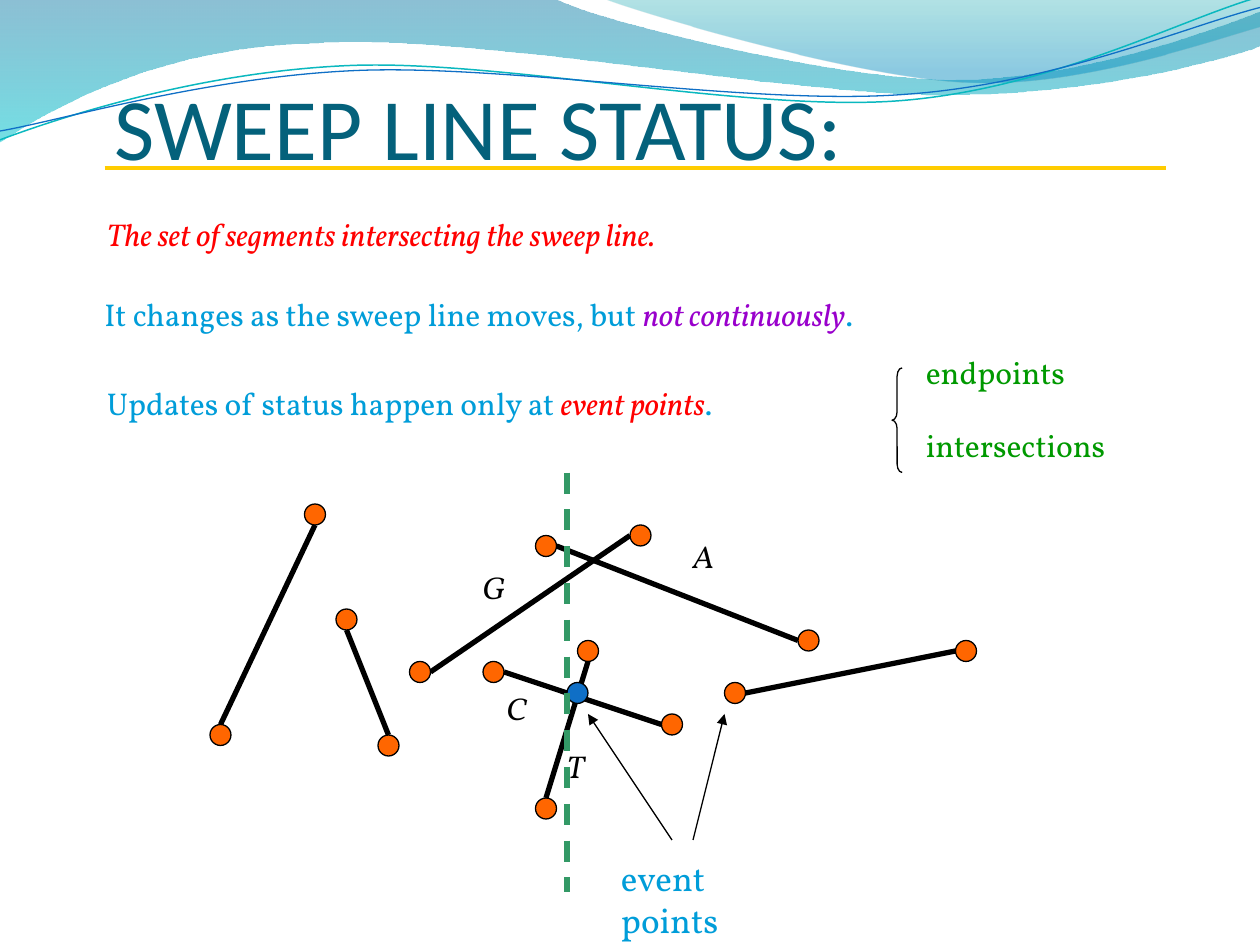
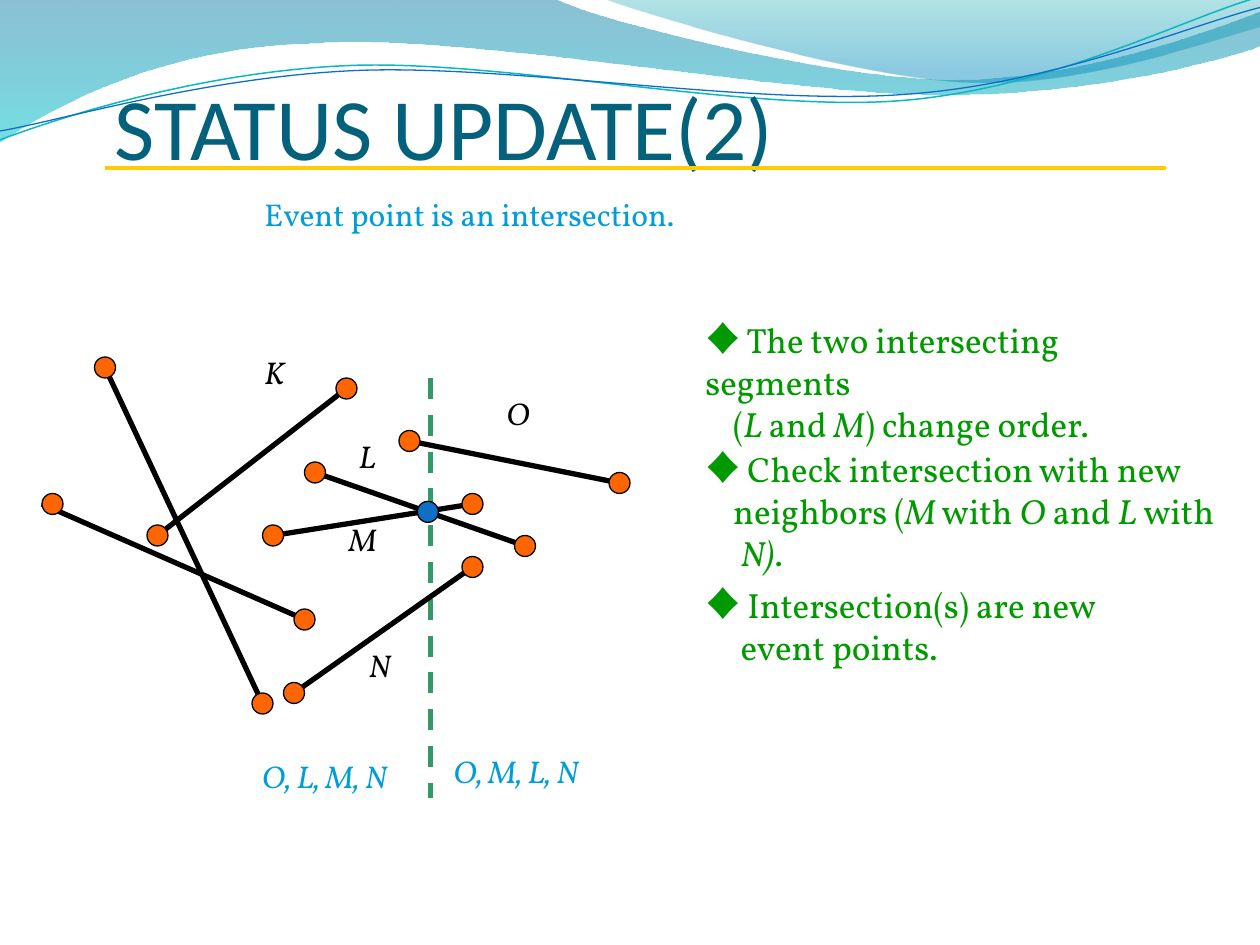
from dataclasses import dataclass
from math import cos, radians, sin

from lxml import etree
from pptx import Presentation
from pptx.dml.color import RGBColor
from pptx.enum.dml import MSO_LINE
from pptx.enum.shapes import MSO_CONNECTOR, MSO_SHAPE
from pptx.enum.text import MSO_ANCHOR, MSO_AUTO_SIZE
from pptx.oxml.ns import qn
from pptx.util import Inches, Pt

STRAIGHT = MSO_CONNECTOR.STRAIGHT
OVAL, BRACE = MSO_SHAPE.OVAL, MSO_SHAPE.LEFT_BRACE
DASH = MSO_LINE.DASH
BOTTOM = MSO_ANCHOR.BOTTOM
GROW = MSO_AUTO_SIZE.SHAPE_TO_FIT_TEXT

BLACK, RED, PURPLE, GREEN = "000000", "FF0000", "9900CC", "009900"
SKY, TEAL, BLUE = "009DD9", "04617B", "0F6FC6"
ORANGE, GOLD, SWEEP_GREEN = "FF6600", "FFCC00", "339966"
TITLE_FONT, BODY_FONT = "Calibri", "Vollkorn"

GRID = 1 / 12  # diagrams are laid out on twelfths of an inch
SWEEP_HEIGHT = 40
WAVE_TILT = 2.7  # degrees, counter-clockwise


@dataclass(frozen=True)
class Run:
    """A stretch of text in one style."""
    text: str
    color: str
    italic: bool = False


@dataclass(frozen=True)
class Line:
    """A paragraph with an optional left indent and bullet."""
    runs: tuple[Run, ...]
    indent: float = 0
    bullet: str = ""


@dataclass(frozen=True)
class Note:
    """A text box: left, top, width and its paragraphs."""
    left: float
    top: float
    width: float
    lines: tuple[Line, ...]
    size: float = 18


@dataclass(frozen=True)
class Segment:
    """A segment between two endpoint centres, in grid units."""
    start: tuple[float, float]
    end: tuple[float, float]
    overhang: float = 0  # how far the line starts left of its endpoint


@dataclass(frozen=True)
class Wave:
    """A header outline; steps hold 2 numbers (line) or 6 (Bezier curve)."""
    start: tuple[float, float]
    steps: tuple[tuple[float, ...], ...]
    stops: tuple[tuple[float, str, int], ...] = ()  # position, colour, opacity
    stroke: tuple[str, float] = ("", 0)
    pivot: tuple[float, float] = (0, 0)  # centre of a tilted wave


WAVES = (
    Wave((0, 0), (
        (4.4, -.01), (4.76, .17, 6.64, .63, 7.58, .63), (8.53, .63, 9.58, .26, 10, .09),
        (10.01, .36), (9.83, .44, 8.7, .76, 7.46, .75), (6.22, .75, 3.82, .28, 2.57, .34),
        (1.29, .36, .46, .83, -.01, 1.13), (0, 0)),
        stops=((0, "0074A1", 45), (1, "00C6CF", 55))),
    Wave((4.79, -.01), (
        (5.09, .11, 6.82, .62, 7.69, .65), (8.56, .69, 9.61, .32, 10, .21), (10, 0),
        (4.79, -.01)),
        stops=((0, "00A1A9", 30), (.8, "008BBF", 45))),
    Wave((0, 1.11), (
        (.48, .93, 1.58, .57, 2.77, .52), (3.95, .47, 5.93, .89, 7.13, .8),
        (8.33, .71, 9.38, .15, 9.98, -.02)), stroke=("0AB8BF", .85), pivot=(4.99, .58)),
    Wave((0, 1.04), (
        (.47, .96, 1.64, .61, 2.83, .56), (4.03, .51, 5.97, .84, 7.17, .75),
        (8.36, .67, 9.41, .21, 10, .06)), stroke=(BLUE, .75), pivot=(5, .59)),
)


def rgb(color: str) -> RGBColor:
    """Turn a hex string into a colour."""
    return RGBColor.from_string(color)


def apply(target, values: dict) -> None:
    """Set every attribute named in values."""
    for name, value in values.items():
        setattr(target, name, value)


def stroke(line, color: str, width: float) -> None:
    """Colour a line and set its width in points."""
    line.color.rgb = rgb(color)
    line.width = Pt(width)


def turned(point, pivot, degrees: float) -> tuple[float, float]:
    """Turn a point clockwise about a pivot."""
    dx, dy, angle = point[0] - pivot[0], point[1] - pivot[1], radians(degrees)
    return (pivot[0] + dx * cos(angle) - dy * sin(angle),
            pivot[1] + dx * sin(angle) + dy * cos(angle))


def bend(shape, steps) -> None:
    """Join each three corners of a curved step into one Bezier curve."""
    corners = iter(list(shape._element.iter(qn("a:lnTo"))))
    for step in steps:
        first = next(corners)
        if len(step) == 6:
            first.tag = qn("a:cubicBezTo")
            for _ in range(2):
                corner = next(corners)
                first.append(corner[0])
                corner.getparent().remove(corner)


def add_wave(slide, wave: Wave) -> None:
    """Draw one header wave, filled with a gradient or as a tilted thin line."""
    tilt = 0 if wave.stops else WAVE_TILT
    points = [wave.start] + [step[i:i + 2] for step in wave.steps
                             for i in range(0, len(step), 2)]
    first, *rest = [tuple(Inches(v) for v in turned(p, wave.pivot, tilt)) for p in points]
    builder = slide.shapes.build_freeform(*first)
    builder.add_line_segments(rest, close=bool(wave.stops))
    shape = builder.convert_to_shape()
    bend(shape, wave.steps)
    shape.shadow.inherit = False
    if not wave.stops:
        shape.rotation = 360 - tilt
        shape.fill.background()
        stroke(shape.line, *wave.stroke)
        return
    shape.line.fill.background()
    shape.fill.gradient()
    shape.fill.gradient_angle = 270
    for stop, (position, color, _) in zip(shape.fill.gradient_stops, wave.stops):
        stop.position = position
        stop.color.rgb = rgb(color)
    colors = shape._element.spPr.iter(qn("a:srgbClr"))
    for element, (_, _, opacity) in zip(colors, wave.stops):
        etree.SubElement(element, qn("a:alpha"), val=str(opacity * 1000))


def add_line(slide, start, end, color: str = BLACK, width: float = 3,
             dashed: bool = False, arrow: bool = False) -> None:
    """Draw a straight line between two points in inches."""
    line = slide.shapes.add_connector(STRAIGHT, *(Inches(v) for v in (*start, *end)))
    stroke(line.line, color, width)
    if dashed:
        line.line.dash_style = DASH
    if arrow:
        etree.SubElement(line.line._get_or_add_ln(), qn("a:tailEnd"), type="triangle")
    etree.SubElement(line._element.spPr, qn("a:effectLst"))


def on_grid(point) -> tuple[float, float]:
    """Turn grid units into inches."""
    return point[0] * GRID, point[1] * GRID


def add_dot(slide, center, color: str = ORANGE) -> None:
    """Draw a point of the diagram, two grid units wide."""
    left, top = on_grid((center[0] - 1, center[1] - 1))
    dot = slide.shapes.add_shape(
        OVAL, Inches(left), Inches(top), Inches(2 * GRID), Inches(2 * GRID))
    dot.shadow.inherit = False
    dot.fill.solid()
    dot.fill.fore_color.rgb = rgb(color)
    stroke(dot.line, BLACK, .75)


def toward(point, other, distance: float) -> tuple[float, float]:
    """Move a point along its main axis towards another one."""
    dx, dy = other[0] - point[0], other[1] - point[1]
    if abs(dx) > abs(dy):
        return point[0] + (distance if dx > 0 else -distance), point[1]
    return point[0], point[1] + (distance if dy > 0 else -distance)


def add_segments(slide, segments, trim: float = 0) -> None:
    """Draw all segments, cut back by trim, then their endpoints."""
    for s in segments:
        add_line(slide, on_grid(toward(s.start, s.end, trim - s.overhang)),
                 on_grid(toward(s.end, s.start, trim)))
    for s in segments:
        add_dot(slide, s.start)
        add_dot(slide, s.end)


def add_sweep_line(slide, x: float, top: float) -> None:
    """Draw the dashed vertical sweep line."""
    add_line(slide, on_grid((x, top)), on_grid((x, top + SWEEP_HEIGHT)),
             SWEEP_GREEN, dashed=True)


def add_run(paragraph, run: Run, font: str, size: float) -> None:
    """Append a styled run."""
    piece = paragraph.add_run()
    piece.text = run.text
    apply(piece.font, {"name": font, "size": Pt(size), "italic": run.italic})
    piece.font.color.rgb = rgb(run.color)


def add_note(slide, note: Note) -> None:
    """Write a text box of body text."""
    height = .1 + len(note.lines) * note.size / 60
    frame = slide.shapes.add_textbox(
        Inches(note.left), Inches(note.top), Inches(note.width), Inches(height)).text_frame
    apply(frame, {"word_wrap": True, "auto_size": GROW})
    for i, line in enumerate(note.lines):
        paragraph = frame.add_paragraph() if i else frame.paragraphs[0]
        properties = paragraph._p.get_or_add_pPr()
        if line.indent:
            properties.set("marL", str(Inches(line.indent)))
        if line.bullet:
            etree.SubElement(properties, qn("a:buFont"), typeface=BODY_FONT)
            etree.SubElement(properties, qn("a:buChar"), char=line.bullet)
        for run in line.runs:
            add_run(paragraph, run, BODY_FONT, note.size)


def add_labels(slide, labels, color: str = BLACK, width: float = .44) -> None:
    """Write italic labels given as text, left, top."""
    for text, left, top in labels:
        add_note(slide, Note(left, top, width, (Line((Run(text, color, True),)),)))


def add_base(deck, title: str):
    """Add a slide with the waves, the title and its underline."""
    slide = deck.slides.add_slide(deck.slide_layouts[6])
    for wave in WAVES:
        add_wave(slide, wave)
    frame = slide.shapes.add_textbox(
        Inches(.75), Inches(.16), Inches(8.5), Inches(1.25)).text_frame
    apply(frame, {"word_wrap": True, "vertical_anchor": BOTTOM, "margin_left": Inches(.16),
                  "margin_right": 0, "margin_top": Inches(.05), "margin_bottom": 0})
    add_run(frame.paragraphs[0], Run(title, TEAL), TITLE_FONT, 50)
    add_line(slide, (.83, 1.33), (9.25, 1.33), GOLD, 2.25)
    return slide


def green_line(*texts: str, indent: float = 0, bullet: str = "") -> Line:
    """Make a green line whose every second text is italic."""
    runs = tuple(Run(text, GREEN, i % 2 == 1) for i, text in enumerate(texts) if text)
    return Line(runs, indent, bullet)


def build_sweep_status(deck) -> None:
    """Build the slide on the sweep line status."""
    slide = add_base(deck, "SWEEP LINE STATUS:")
    statements = (
        (.75, 1.66, 6.59, (Run("The set of segments intersecting the sweep line.", RED, True),)),
        (.73, 2.29, 8, (Run("It changes as the sweep line moves, but ", SKY),
                        Run("not continuously", PURPLE, True), Run(".", SKY))),
        (.75, 3, 6.39, (Run("Updates of status happen only at ", SKY),
                        Run("event points", RED, True), Run(".", SKY))),
        (7.25, 2.75, 1.5, (Run("endpoints", GREEN),)),
        (7.25, 3.33, 1.88, (Run("intersections", GREEN),)),
    )
    for left, top, width, runs in statements:
        add_note(slide, Note(left, top, width, (Line(runs),)))
    brace = slide.shapes.add_shape(BRACE, Inches(7.08), Inches(2.92), Inches(.08), Inches(.83))
    brace.shadow.inherit = False
    brace.adjustments[0] = .83
    brace.fill.background()
    stroke(brace.line, BLACK, .75)

    add_segments(slide, (
        Segment((30, 49), (21, 70)), Segment((33, 59), (37, 71)),
        Segment((47, 64), (64, 69)), Segment((56, 62), (52, 77)),
        Segment((40, 64), (61, 51)), Segment((52, 52), (77, 61)),
        Segment((70, 66), (92, 62))), trim=1)
    for start, end in (((64, 80), (56, 68)), ((66, 80), (69, 68))):
        add_line(slide, on_grid(start), on_grid(end), width=.75, arrow=True)
    add_dot(slide, (55, 66), BLUE)
    add_note(slide, Note(4.83, 6.75, 1.55, (Line((Run("event points", SKY),)),), 20))
    add_sweep_line(slide, 54, 45)
    add_labels(slide, (("A", 5.4, 4.21), ("G", 3.73, 4.46), ("C", 3.92, 5.42), ("T", 4.4, 5.88)))


def build_status_update(deck) -> None:
    """Build the slide on updating the status at an intersection."""
    slide = add_base(deck, "STATUS UPDATE(2)")
    add_sweep_line(slide, 41, 36)
    add_note(slide, Note(2, 1.5, 4.17, (Line((Run("Event point is an intersection.", SKY),)),)))
    updates = (
        (2.48, 3.93, (
            green_line(" The two intersecting segments", bullet="♦"),
            green_line("(", "L ", "and ", "M", ") change order.", indent=.22))),
        (3.5, 4.35, (
            green_line(" Check intersection with new", bullet="♦"),
            green_line("neighbors (", "M", " with ", "O", " and ", "L ", "with", indent=.22),
            green_line("", "N)", ".", indent=.28))),
        (4.58, 3.33, (
            green_line(" Intersection(s) are new", bullet="♦"),
            green_line("event points.", indent=.28))),
    )
    for top, width, lines in updates:
        add_note(slide, Note(5.5, top, width, lines, 20))

    add_segments(slide, (
        Segment((5, 48), (29, 59), overhang=1), Segment((10, 35), (25, 67)),
        Segment((28, 66), (45, 54)), Segment((30, 45), (50, 52)),
        Segment((26, 51), (45, 48)), Segment((15, 51), (33, 37)),
        Segment((39, 42), (59, 46))))
    add_dot(slide, (40.75, 48.75), BLUE)
    add_labels(slide, (("K", 2, 2.75), ("L", 2.75, 3.42), ("M", 2.67, 4.08),
                       ("N", 2.83, 5.08), ("O", 3.92, 3.08)))
    add_labels(slide, (("O, L, M, N", 1.98, 5.96), ("O, M, L, N", 3.5, 5.92)), SKY, 1.27)


deck = Presentation()
apply(deck, {"slide_width": Inches(10), "slide_height": Inches(7.5)})
build_sweep_status(deck)
build_status_update(deck)
deck.save("out.pptx")
